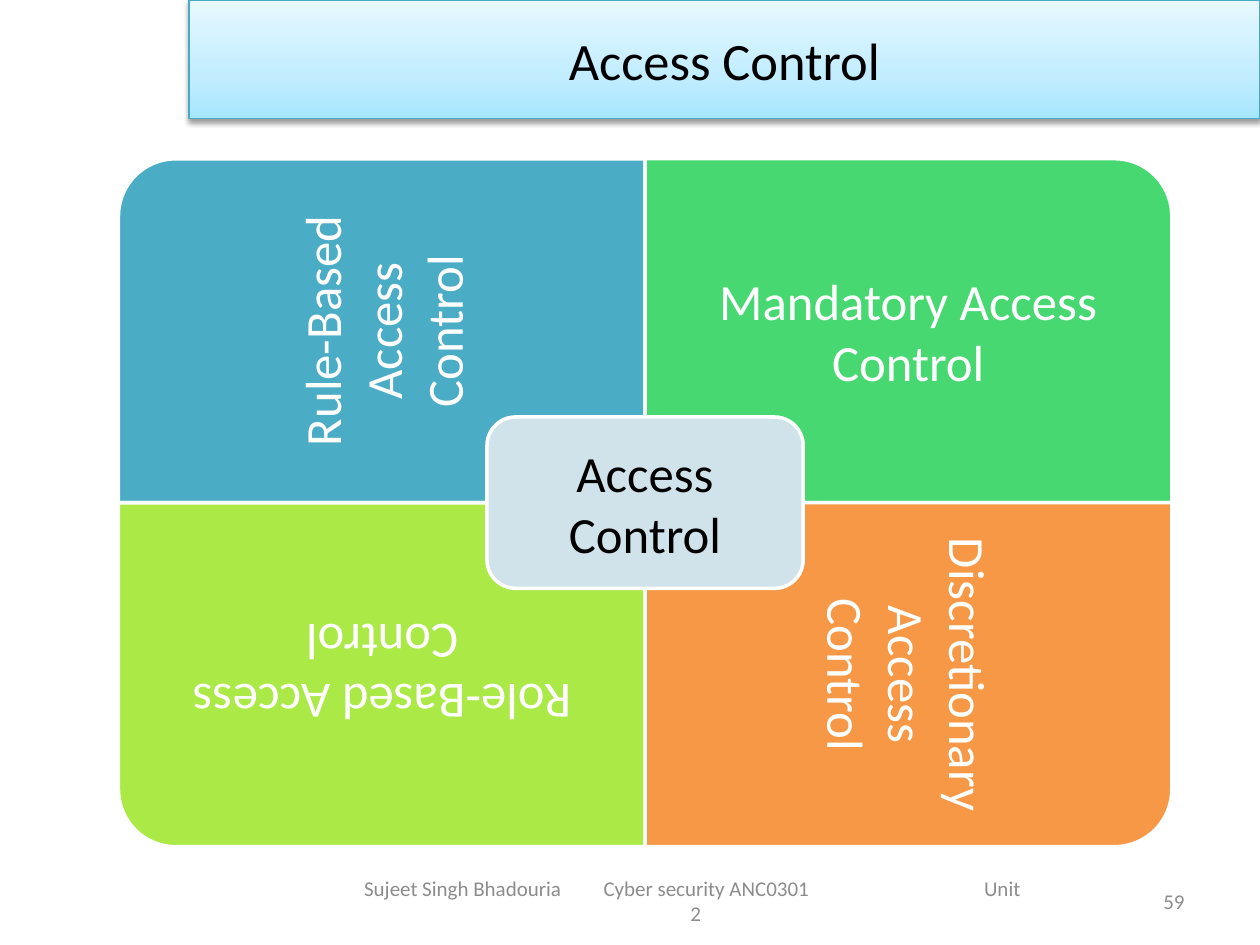
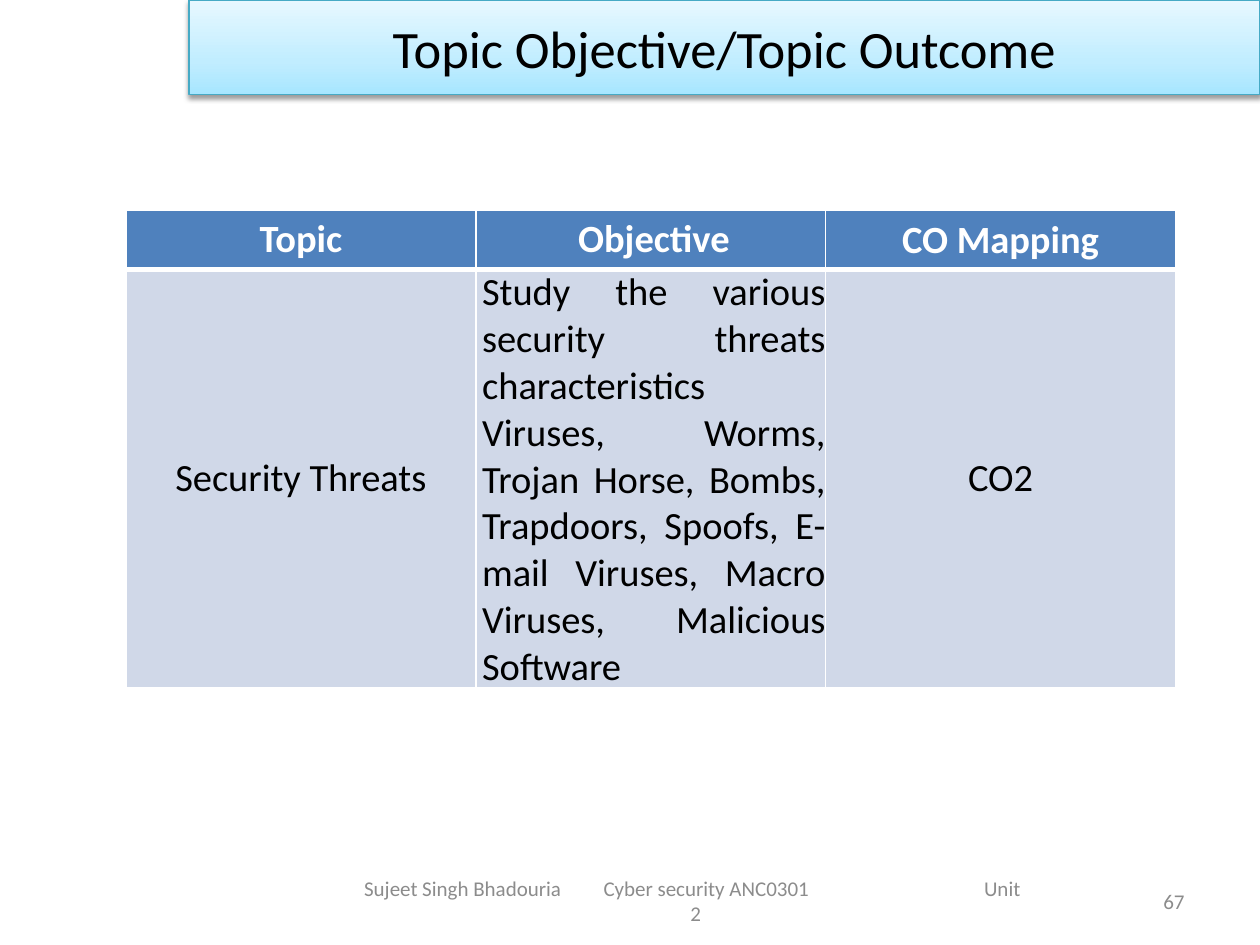
from copy import deepcopy

from lxml import etree
from pptx import Presentation
from pptx.dml.color import RGBColor
from pptx.enum.shapes import MSO_SHAPE
from pptx.enum.text import MSO_ANCHOR, PP_ALIGN
from pptx.oxml.ns import qn
from pptx.util import Inches, Pt

RECT = MSO_SHAPE.RECTANGLE
ROUND_ONE = MSO_SHAPE.ROUND_1_RECTANGLE
ROUNDED = MSO_SHAPE.ROUNDED_RECTANGLE
MIDDLE = MSO_ANCHOR.MIDDLE
LEFT, CENTER = PP_ALIGN.LEFT, PP_ALIGN.CENTER
RIGHT, JUSTIFY = PP_ALIGN.RIGHT, PP_ALIGN.JUSTIFY

FONT = "Calibri"
COLORS = {
    "white": "FFFFFF", "black": "000000", "footer": "8C8C8C",
    "band_bottom": "A7E6FF", "band_mid": "C1EDFF", "band_top": "E7F8FF",
    "band_line": "46AAC5", "teal": "4BACC6", "green": "47D872",
    "lime": "ABE946", "orange": "F79846", "center": "D0E3EA",
    "header": "4F81BD", "body": "D0D8E8",
}
DEFAULT_INSETS = (0.1, 0.05, 0.1, 0.05)


def rgb(name):
    return RGBColor.from_string(COLORS[name])


def child(parent, tag, **attrs):
    return etree.SubElement(parent, qn(tag), {k: str(v) for k, v in attrs.items()})


class Deck:
    def __init__(self):
        self.prs = Presentation()
        self.prs.slide_width, self.prs.slide_height = Inches(10), Inches(7.5)
        self.s = None

    def slide(self, title, band_height, number):
        self.s = self.prs.slides.add_slide(self.prs.slide_layouts[6])
        self.band(title, band_height)
        self.footer(number)

    def set_text(self, tf, text, size, color, align=CENTER, bold=False):
        tf.text = text
        for p in tf.paragraphs:
            p.alignment = align
            for r in p.runs:
                r.font.name, r.font.size, r.font.bold = FONT, Pt(size), bold
                r.font.color.rgb = rgb(color)

    def frame(self, tf, insets):
        tf.word_wrap = True
        tf.vertical_anchor = MIDDLE
        (tf.margin_left, tf.margin_top,
         tf.margin_right, tf.margin_bottom) = map(Inches, insets)

    def text(self, x, y, w, h, text, size, color, align, insets=DEFAULT_INSETS):
        tf = self.s.shapes.add_textbox(*map(Inches, (x, y, w, h))).text_frame
        self.frame(tf, insets)
        self.set_text(tf, text, size, color, align)
        return tf

    def shape(self, kind, x, y, w, h, line, line_width, insets=DEFAULT_INSETS):
        sp = self.s.shapes.add_shape(kind, *map(Inches, (x, y, w, h)))
        sp.shadow.inherit = False
        sp.line.color.rgb = rgb(line)
        sp.line.width = Pt(line_width)
        self.frame(sp.text_frame, insets)
        return sp

    def band(self, title, height):
        """Title band with a vertical gradient and a soft shadow below."""
        sp = self.shape(RECT, 1.5, 0, 8.5, height, "band_line", 0.75)
        sp.fill.gradient()
        sp.fill.gradient_angle = 90
        spPr = sp._element.spPr
        stops = spPr.find(".//" + qn("a:gsLst"))
        stops.append(deepcopy(stops[0]))
        looks = ((0, "band_bottom"), (0.35, "band_mid"), (1, "band_top"))
        for stop, (position, color) in zip(sp.fill.gradient_stops, looks):
            stop.position = position
            stop.color.rgb = rgb(color)
        shadow = child(spPr.find(qn("a:effectLst")), "a:outerShdw",
                       blurRad=Pt(3.1), dist=Pt(1.6), dir=90 * 60000, rotWithShape=0)
        child(child(shadow, "a:srgbClr", val=COLORS["black"]), "a:alpha", val=38000)
        self.set_text(sp.text_frame, title, 30, "black")

    def footer(self, number):
        tf = self.text(2.75, 6.95, 5.5, 0.4,
                       "Sujeet Singh Bhadouria\tCyber security ANC0301\tUnit\n2",
                       12, "footer", CENTER, (0.14, 0.05, 0.1, 0.05))
        p = tf.paragraphs[0]
        p.alignment = LEFT
        tabs = child(p._p.get_or_add_pPr(), "a:tabLst")
        for position in (1.9, 4.92):
            child(tabs, "a:tab", pos=Inches(position), algn="l")
        self.text(7.17, 6.95, 2.33, 0.4, str(number), 12, "footer", RIGHT)

    def tile(self, kind, cx, cy, w, h, text, fill, color, insets, turn=0):
        """Filled shape centred on (cx, cy), turned together with its text."""
        sp = self.shape(kind, cx - w / 2, cy - h / 2, w, h, "white", 2, insets)
        sp.rotation = turn
        sp.fill.solid()
        sp.fill.fore_color.rgb = rgb(fill)
        self.set_text(sp.text_frame, text, 29, color)

    def borders(self, cell, bottom):
        tcPr = cell._tc.get_or_add_tcPr()
        for i, (side, width) in enumerate(zip("LRTB", (1, 1, 1, bottom))):
            ln = etree.Element(qn("a:ln" + side), w=str(Pt(width)))
            child(child(ln, "a:solidFill"), "a:srgbClr", val=COLORS["white"])
            tcPr.insert(i, ln)

    def table(self, x, y, w, row_heights, rows, aligns, insets):
        """Table of equal columns; aligns apply to the body, insets to all rows."""
        table = self.s.shapes.add_table(
            len(rows), len(rows[0]), *map(Inches, (x, y, w, sum(row_heights)))).table
        for i, (row, height) in enumerate(zip(rows, row_heights)):
            table.rows[i].height = Inches(height)
            header = i == 0
            for j, text in enumerate(row):
                cell = table.cell(i, j)
                cell.vertical_anchor = MIDDLE
                (cell.margin_left, cell.margin_top,
                 cell.margin_right, cell.margin_bottom) = map(Inches, insets[j])
                cell.fill.solid()
                cell.fill.fore_color.rgb = rgb("header" if header else "body")
                self.set_text(cell.text_frame, text, 22, "white" if header else "black",
                              CENTER if header else aligns[j], header)
                self.borders(cell, 3 if header else 1)


def access_control(deck):
    deck.slide("Access Control", 0.94, 59)
    cx, cy, w, h = 5.12, 3.99, 4.18, 2.73
    quadrants = [
        ("Rule-Based Access Control", "teal", -1, -1, 270),
        ("Mandatory Access Control", "green", 1, -1, 0),
        ("Role-Based Access Control", "lime", -1, 1, 180),
        ("Discretionary Access Control", "orange", 1, 1, 90),
    ]
    for text, fill, right, down, turn in quadrants:
        size = (h, w) if turn % 180 else (w, h)
        deck.tile(ROUND_ONE, cx + right * w / 2, cy + down * h / 2, *size,
                  text, fill, "white", (0.23, 0.23, 0.1, 0.23), turn)
    deck.tile(ROUNDED, cx, cy, 2.51, 1.36, "Access Control", "center", "black",
              (0.05, 0.05, 0.05, 0.05))


def topic_objective(deck):
    deck.slide("Topic Objective/Topic Outcome", 0.75, 67)
    rows = [
        ("Topic", "Objective", "CO Mapping"),
        ("Security Threats",
         "Study the various security threats characteristics Viruses, Worms, "
         "Trojan Horse, Bombs, Trapdoors, Spoofs, E-mail Viruses, Macro Viruses, "
         "Malicious Software",
         "CO2"),
    ]
    deck.table(1, 1.67, 8.33, (0.45, 3.32), rows, (CENTER, JUSTIFY, CENTER),
               ((0, 0, 0, 0), (0.05, 0, 0, 0), DEFAULT_INSETS))


def main():
    deck = Deck()
    access_control(deck)
    topic_objective(deck)
    deck.prs.save("out.pptx")


if __name__ == "__main__":
    main()
